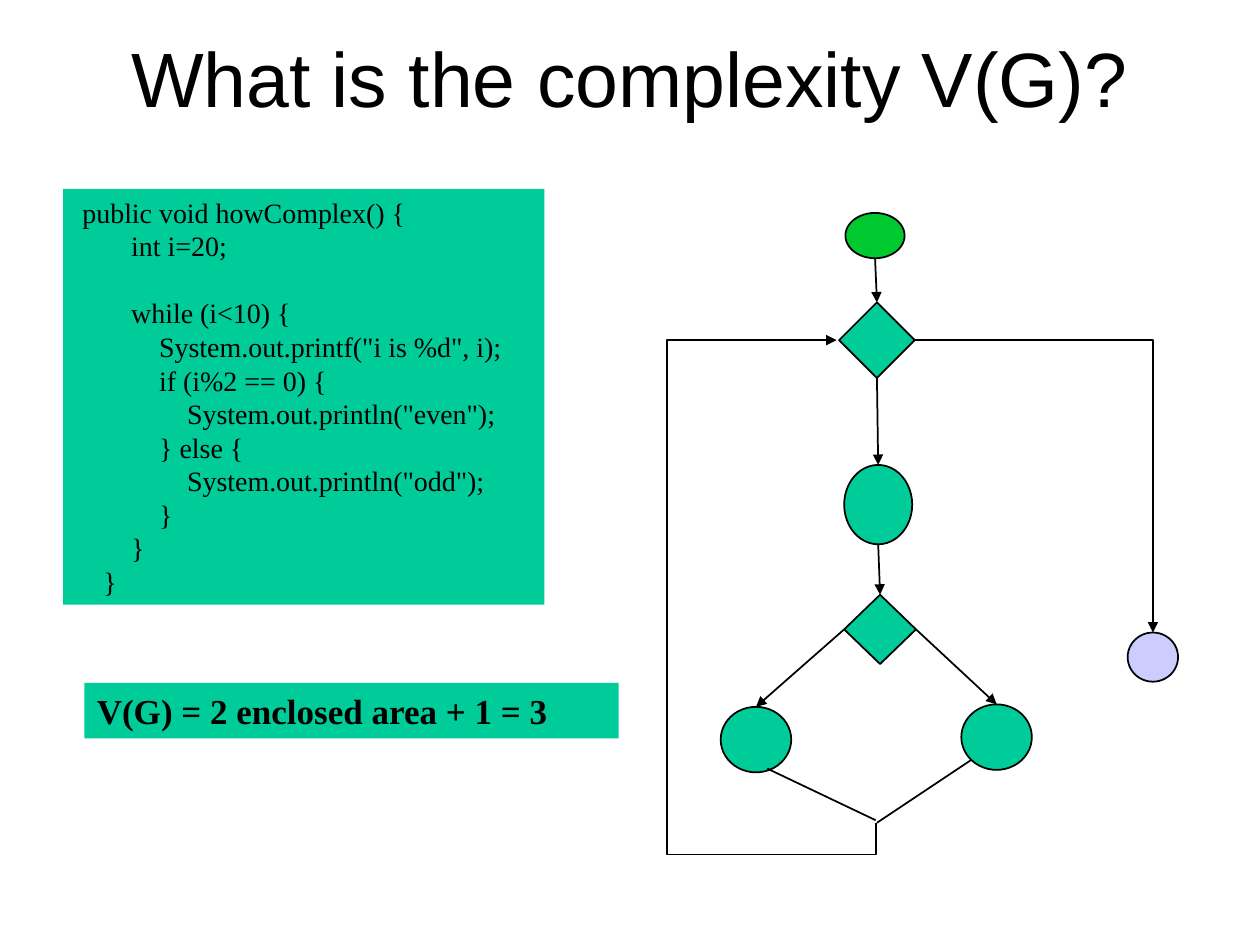
from lxml import etree
from pptx import Presentation
from pptx.dml.color import RGBColor as RGB
from pptx.enum.shapes import MSO_CONNECTOR as LINE, MSO_SHAPE as SHAPE
from pptx.enum.text import MSO_ANCHOR as ANCHOR, PP_ALIGN as ALIGN
from pptx.oxml.ns import qn
from pptx.util import Inches, Pt

THEME = {
    "ink": RGB(0, 0, 0), "panel": RGB(0x00, 0xCC, 0x99),
    "start": RGB(0x00, 0xC9, 0x30), "end": RGB(0xCC, 0xCC, 0xFF),
    "sans": "Arial", "serif": "Times New Roman",
    "title": 44, "code": 16, "answer": 20, "line": 1,
}
TITLE = "What is the complexity V(G)?"
ANSWER = "V(G) = 2 enclosed area + 1 = 3"
CODE = """ public void howComplex() {
        int i=20;

        while (i<10) {
            System.out.printf("i is %d", i);
            if (i%2 == 0) {
                System.out.println("even");
            } else {
                System.out.println("odd");
            }
        }
    }"""
NODES = {
    "start": (SHAPE.OVAL, (6.71, 1.69, 0.47, 0.36), "start"),
    "while": (SHAPE.DIAMOND, (6.66, 2.4, 0.6, 0.6), "panel"),
    "print": (SHAPE.OVAL, (6.7, 3.69, 0.54, 0.63), "panel"),
    "if": (SHAPE.DIAMOND, (6.7, 4.72, 0.57, 0.55), "panel"),
    "even": (SHAPE.OVAL, (5.72, 5.61, 0.56, 0.52), "panel"),
    "odd": (SHAPE.OVAL, (7.63, 5.59, 0.56, 0.52), "panel"),
    "end": (SHAPE.OVAL, (8.95, 5.02, 0.4, 0.39), "end"),
}
SIDES = {"top": (0.5, 0), "bottom": (0.5, 1), "left": (0, 0.5), "right": (1, 0.5)}
EDGES = [
    ("start", "bottom", "while"), ("while", "bottom", "print"),
    ("print", "bottom", "if"), ("if", "left", "even"), ("if", "right", "odd"),
]
MERGES = [((6.09, 6.1), (6.95, 6.51)), ((7.71, 6.03), (6.96, 6.53))]
LOOP = {"begin": (4.88, 4.46), "end": (8.71, 4.77), "adjust": (-6600, 534600)}


def site(node, side):
    x, y, w, h = NODES[node][1]
    fx, fy = SIDES[side]
    return x + w * fx, y + h * fy


def add_text(slide, box, lines, font, size, fill=None, bold=False, spacing=None):
    sp = slide.shapes.add_textbox(*map(Inches, box))
    if fill:
        sp.fill.solid()
        sp.fill.fore_color.rgb = THEME[fill]
    tf = sp.text_frame
    tf.word_wrap = True
    for i, line in enumerate(lines):
        p = tf.paragraphs[0] if i == 0 else tf.add_paragraph()
        p.text = line
        p.font.name, p.font.size, p.font.bold = THEME[font], Pt(THEME[size]), bold
        p.font.color.rgb = THEME["ink"]
        if spacing:
            p.line_spacing = Pt(spacing)
    return tf


def add_node(slide, kind, box, fill):
    sp = slide.shapes.add_shape(kind, *map(Inches, box))
    sp.shadow.inherit = False
    sp.fill.solid()
    sp.fill.fore_color.rgb = THEME[fill]
    sp.line.color.rgb = THEME["ink"]
    sp.line.width = Pt(THEME["line"])


def add_line(slide, begin, end, kind=LINE.STRAIGHT, arrow=True):
    s = slide.shapes.add_connector(kind, *map(Inches, (*begin, *end)))
    s.line.color.rgb = THEME["ink"]
    s.line.width = Pt(THEME["line"])
    if arrow:
        etree.SubElement(s.line._get_or_add_ln(), qn("a:tailEnd"), type="triangle")
    etree.SubElement(s._element.spPr, qn("a:effectLst"))
    return s


def set_bend(s, preset, adjust=()):
    geom = s._element.spPr.find(qn("a:prstGeom"))
    geom.set("prst", preset)
    guides = geom.find(qn("a:avLst"))
    for i, value in enumerate(adjust, 1):
        etree.SubElement(guides, qn("a:gd"), name=f"adj{i}", fmla=f"val {value}")


def main():
    """Build the cyclomatic complexity slide."""
    prs = Presentation()
    prs.slide_width, prs.slide_height = Inches(10), Inches(7.5)
    slide = prs.slides.add_slide(prs.slide_layouts[6])

    tf = add_text(slide, (0.75, 0.11, 8.5, 1), [TITLE], "sans", "title")
    tf.vertical_anchor = ANCHOR.MIDDLE
    tf.paragraphs[0].alignment = ALIGN.CENTER
    add_text(slide, (0.5, 1.5, 3.82, 3.3), CODE.split("\n"),
             "serif", "code", "panel", spacing=19.2)

    for node in NODES.values():
        add_node(slide, *node)
    for source, side, target in EDGES:
        add_line(slide, site(source, side), site(target, "top"))
    for begin, end in MERGES:
        add_line(slide, begin, end, arrow=False)

    s = add_line(slide, LOOP["begin"], LOOP["end"], LINE.ELBOW)
    set_bend(s, "bentConnector4", LOOP["adjust"])
    xfrm = s._element.spPr.find(qn("a:xfrm"))
    xfrm.set("rot", str(270 * 60000))
    xfrm.set("flipV", "1")
    s = add_line(slide, site("while", "right"), site("end", "top"), LINE.ELBOW)
    set_bend(s, "bentConnector2")

    add_text(slide, (0.67, 5.42, 4.24, 0.44), [ANSWER],
             "serif", "answer", "panel", bold=True, spacing=24)
    prs.save("out.pptx")


if __name__ == "__main__":
    main()
